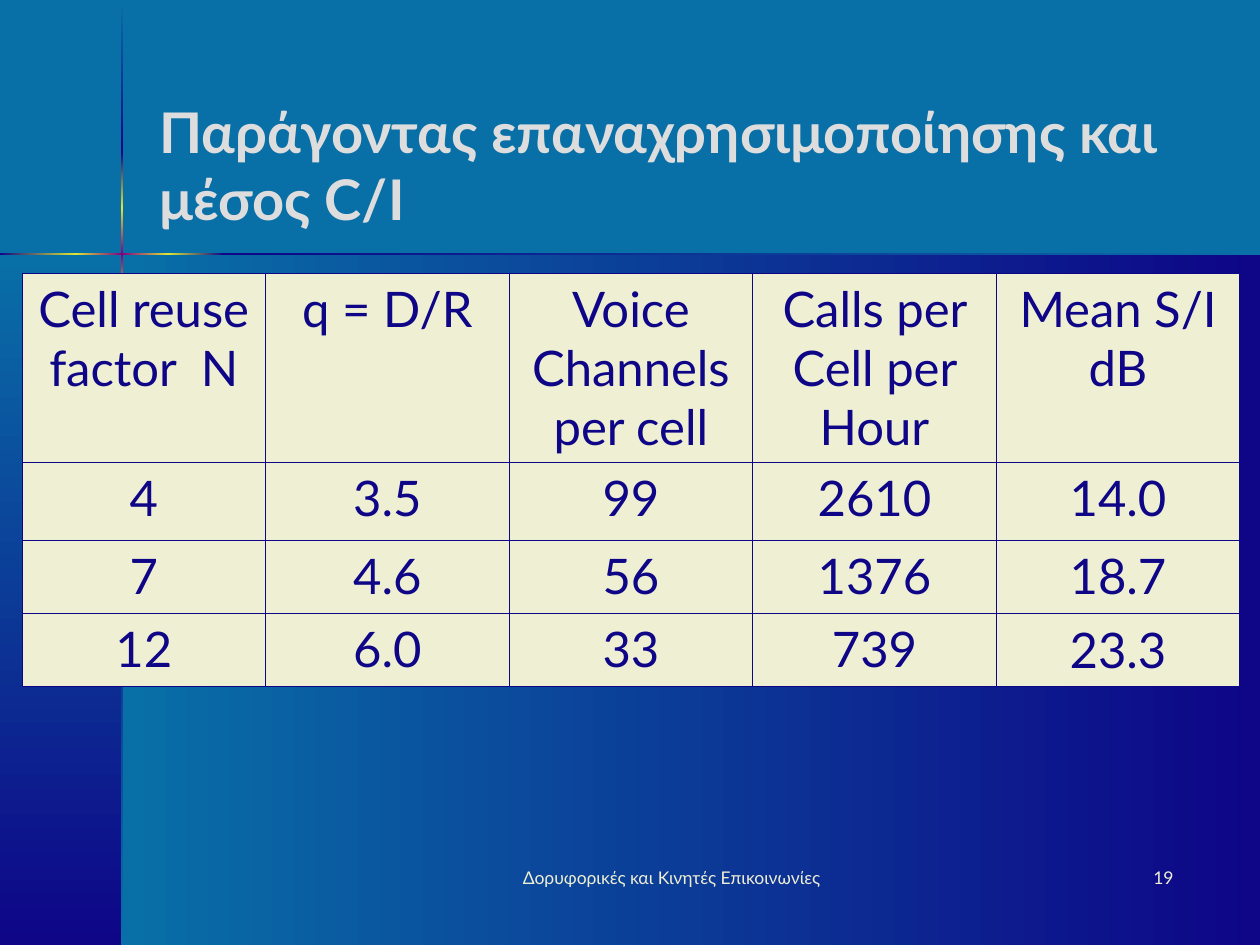
"""Build the slide on the reuse factor and mean C/I."""
from copy import deepcopy
from lxml.etree import SubElement
from pptx import Presentation
from pptx.dml.color import RGBColor
from pptx.enum.shapes import MSO_SHAPE
from pptx.enum.text import MSO_ANCHOR, PP_ALIGN
from pptx.oxml.ns import qn
from pptx.util import Pt

COLORS = {"teal": "096FA7", "navy": "0E0587", "lime": "DEE634",
          "plum": "800080", "gray": "DDDDDD", "cream": "EEEFD3"}
PX = 914400 // 126
WIDE, HIGH = 1260, 945
EDGE, TOP, THICK = 121, 253, 2
FONT = "Lato"
DOWN, RIGHT = 270, 0

GLOW = ["lime", "plum", "lime"]
PANELS = [
    ((122, 254, 1138, 691), ["teal", "navy"], RIGHT),
    ((0, 254, 122, 691), ["teal", "navy"], DOWN),
]
UPRIGHT = [
    (1, 152, ["teal", "navy"]),
    (152, 208, ["navy", "lime"]),
    (208, 300, GLOW),
    (300, 355, ["lime", "navy"]),
    (355, HIGH, ["navy", "teal"]),
]
LEVEL = [
    (0, 76, ["navy", "lime"]),
    (76, 168, GLOW),
    (168, 223, ["lime", "navy"]),
    (223, WIDE, ["navy", "teal"]),
]
TEXTS = [
    ("Παράγοντας επαναχρησιμοποίησης και μέσος C/I", (147, 66, 1040, 198),
     MSO_ANCHOR.MIDDLE, PP_ALIGN.LEFT, {"size": Pt(32), "bold": True}, "gray"),
    ("Δορυφορικές και Κινητές Επικοινωνίες", (472, 861, 399, 63),
     MSO_ANCHOR.TOP, PP_ALIGN.CENTER, {"size": Pt(10)}, "cream"),
    ("19", (924, 861, 262, 63),
     MSO_ANCHOR.TOP, PP_ALIGN.RIGHT, {"size": Pt(10)}, "cream"),
]
ROWS = [
    ["Cell reuse factor  N", "q = D/R", "Voice Channels per cell",
     "Calls per Cell per Hour", "Mean S/I dB"],
    ["4", "3.5", "99", "2610", "14.0"],
    ["7", "4.6", "56", "1376", "18.7"],
    ["12", "6.0", "33", "739", "23.3"],
]
HEIGHTS = [189, 78, 73, 73]
GRID = (22, 273, 1218, sum(HEIGHTS))


def rgb(name):
    return RGBColor.from_string(COLORS[name])


def emu(box):
    return [n * PX for n in box]


def apply(item, values):
    for key, value in values.items():
        setattr(item, key, value)


def write(para, text, align, style, color):
    para.alignment = align
    run = para.add_run()
    run.text = text
    apply(run.font, {"name": FONT, **style})
    run.font.color.rgb = rgb(color)


def blend(slide, box, names, angle):
    bar = slide.shapes.add_shape(MSO_SHAPE.RECTANGLE, *emu(box))
    bar.shadow.inherit = False
    bar.line.fill.background()
    bar.fill.gradient()
    bar.fill.gradient_angle = angle
    stops = bar.element.spPr.find(qn("a:gradFill")).find(qn("a:gsLst"))
    for _ in names[2:]:
        stops.append(deepcopy(stops[0]))
    for i, (stop, name) in enumerate(zip(bar.fill.gradient_stops, names)):
        stop.position = i / (len(names) - 1)
        stop.color.rgb = rgb(name)


def border(cell):
    props = cell._tc.get_or_add_tcPr()
    for i, side in enumerate(("lnL", "lnR", "lnT", "lnB")):
        line = props.makeelement(qn(f"a:{side}"), {"w": str(Pt(0.45))})
        fill = SubElement(line, qn("a:solidFill"))
        SubElement(fill, qn("a:srgbClr"), val=COLORS["navy"])
        props.insert(i, line)


def main():
    deck = Presentation()
    apply(deck, {"slide_width": WIDE * PX, "slide_height": HIGH * PX})
    slide = deck.slides.add_slide(deck.slide_layouts[6])
    back = slide.background.fill
    back.solid()
    back.fore_color.rgb = rgb("teal")

    for box, names, angle in PANELS:
        blend(slide, box, names, angle)
    for start, end, names in UPRIGHT:
        blend(slide, (EDGE, start, THICK, end - start), names, DOWN)
    for start, end, names in LEVEL:
        blend(slide, (start, TOP, end - start, THICK), names, RIGHT)

    for text, box, anchor, align, style, color in TEXTS:
        frame = slide.shapes.add_textbox(*emu(box)).text_frame
        apply(frame, {"word_wrap": True, "vertical_anchor": anchor})
        write(frame.paragraphs[0], text, align, style, color)

    table = slide.shapes.add_table(len(ROWS), len(ROWS[0]), *emu(GRID)).table
    apply(table, {"first_row": False, "horz_banding": False})
    for row, height, texts in zip(table.rows, HEIGHTS, ROWS):
        row.height = height * PX
        for cell, text in zip(row.cells, texts):
            cell.fill.solid()
            cell.fill.fore_color.rgb = rgb("cream")
            border(cell)
            para = cell.text_frame.paragraphs[0]
            para.space_before = Pt(7)
            write(para, text, PP_ALIGN.CENTER, {"size": Pt(28)}, "navy")
    table.cell(3, 4).vertical_anchor = MSO_ANCHOR.MIDDLE

    deck.save("out.pptx")


main()
